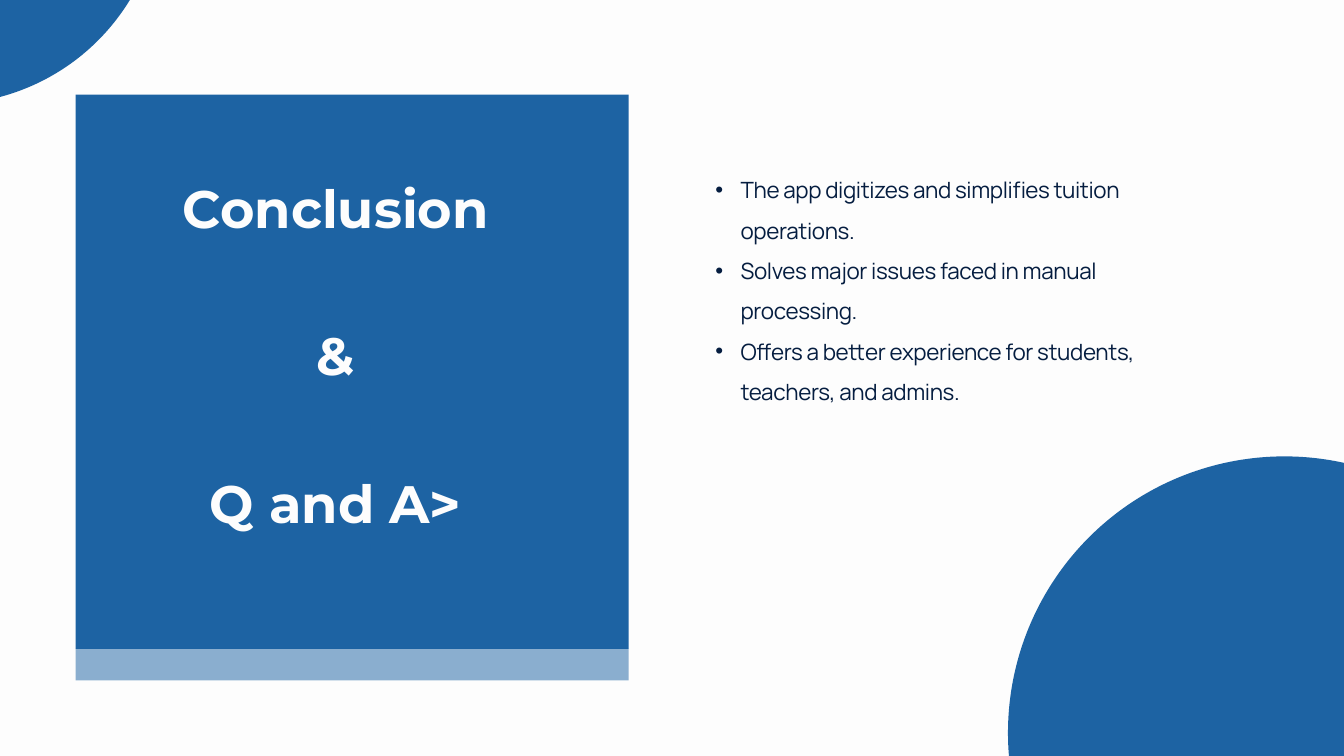
"""Build the closing slide of the tuition app deck."""
import lxml.etree
import pptx
import pptx.dml.color
import pptx.enum.shapes
import pptx.enum.text
import pptx.oxml.ns
import pptx.util

BLUE = pptx.dml.color.RGBColor(0x14, 0x5D, 0xA0)
NAVY = pptx.dml.color.RGBColor(0x05, 0x1D, 0x40)
PAPER = pptx.dml.color.RGBColor(0xFD, 0xFD, 0xFD)
SHAPES = pptx.enum.shapes.MSO_SHAPE
ALIGN = pptx.enum.text.PP_ALIGN
EMU_PER_PX = 9525


def px(length):
    return pptx.util.Emu(length * EMU_PER_PX)


class ClosingStyle:
    title_font = "Montserrat"
    body_font = "Manrope"
    title_size = pptx.util.Pt(56.4)
    title_line = pptx.util.Pt(79)
    body_size = pptx.util.Pt(24)
    bullet_indent = px(36)

    def __init__(self, page):
        self.page = page
        page.background.fill.solid()
        page.background.fill.fore_color.rgb = PAPER

    def shape(self, kind, left, top, width, height, opacity=96):
        shape = self.page.shapes.add_shape(kind, px(left), px(top), px(width), px(height))
        shape.shadow.inherit = False
        shape.line.fill.background()
        shape.fill.solid()
        shape.fill.fore_color.rgb = BLUE
        color = shape.element.spPr.find(".//" + pptx.oxml.ns.qn("a:srgbClr"))
        alpha = lxml.etree.SubElement(color, pptx.oxml.ns.qn("a:alpha"))
        alpha.set("val", str(opacity * 1000))

    def place(self, box, left, top, width, height, lines):
        box.left, box.top, box.width, box.height = map(px, (left, top, width, height))
        box.element.getparent().append(box.element)
        frame = box.text_frame
        frame.text = "\n".join(lines)
        frame.word_wrap = True
        frame.auto_size = pptx.enum.text.MSO_AUTO_SIZE.NONE
        frame.vertical_anchor = pptx.enum.text.MSO_ANCHOR.TOP
        frame.margin_left = frame.margin_right = 0
        frame.margin_top = frame.margin_bottom = 0
        return frame.paragraphs

    def title(self, left, top, width, height, lines):
        box = self.page.shapes.title
        for index, para in enumerate(self.place(box, left, top, width, height, lines)):
            para.alignment = ALIGN.CENTER
            para.line_spacing = self.title_line
            para.space_before = self.title_line if index else 0
            font = para.runs[0].font
            font.name, font.size, font.bold = self.title_font, self.title_size, True
            font.color.rgb = PAPER

    def bullets(self, left, top, width, height, lines):
        box = self.page.placeholders[1]
        for para in self.place(box, left, top, width, height, lines):
            para.alignment = ALIGN.LEFT
            para.line_spacing = 1.5
            para.space_before = 0
            props = para._p.get_or_add_pPr()
            props.set("marL", str(self.bullet_indent))
            props.set("indent", str(-self.bullet_indent))
            bullet = lxml.etree.SubElement(props, pptx.oxml.ns.qn("a:buChar"))
            bullet.set("char", "•")
            span = para.runs[0]
            span.font.name, span.font.size = self.body_font, self.body_size
            span.font.color.rgb = NAVY
            span._r.get_or_add_rPr().set("spc", "-40")


def main():
    deck = pptx.Presentation()
    deck.slide_width, deck.slide_height = px(1920), px(1080)
    closing = ClosingStyle(deck.slides.add_slide(deck.slide_layouts[1]))
    closing.shape(SHAPES.RECTANGLE, 108, 135, 790, 792)
    closing.title(215, 236, 529, 524, ["Conclusion", "&", "Q and A>"])
    closing.bullets(1022, 233, 604, 344, [
        "The app digitizes and simplifies tuition operations.",
        "Solves major issues faced in manual processing.",
        "Offers a better experience for students, teachers, and admins.",
    ])
    closing.shape(SHAPES.RECTANGLE, 108, 927, 790, 45, opacity=49)
    closing.shape(SHAPES.OVAL, 1440, 652, 790, 790)
    closing.shape(SHAPES.OVAL, -391, -473, 622, 622)
    deck.save("out.pptx")


if __name__ == "__main__":
    main()
